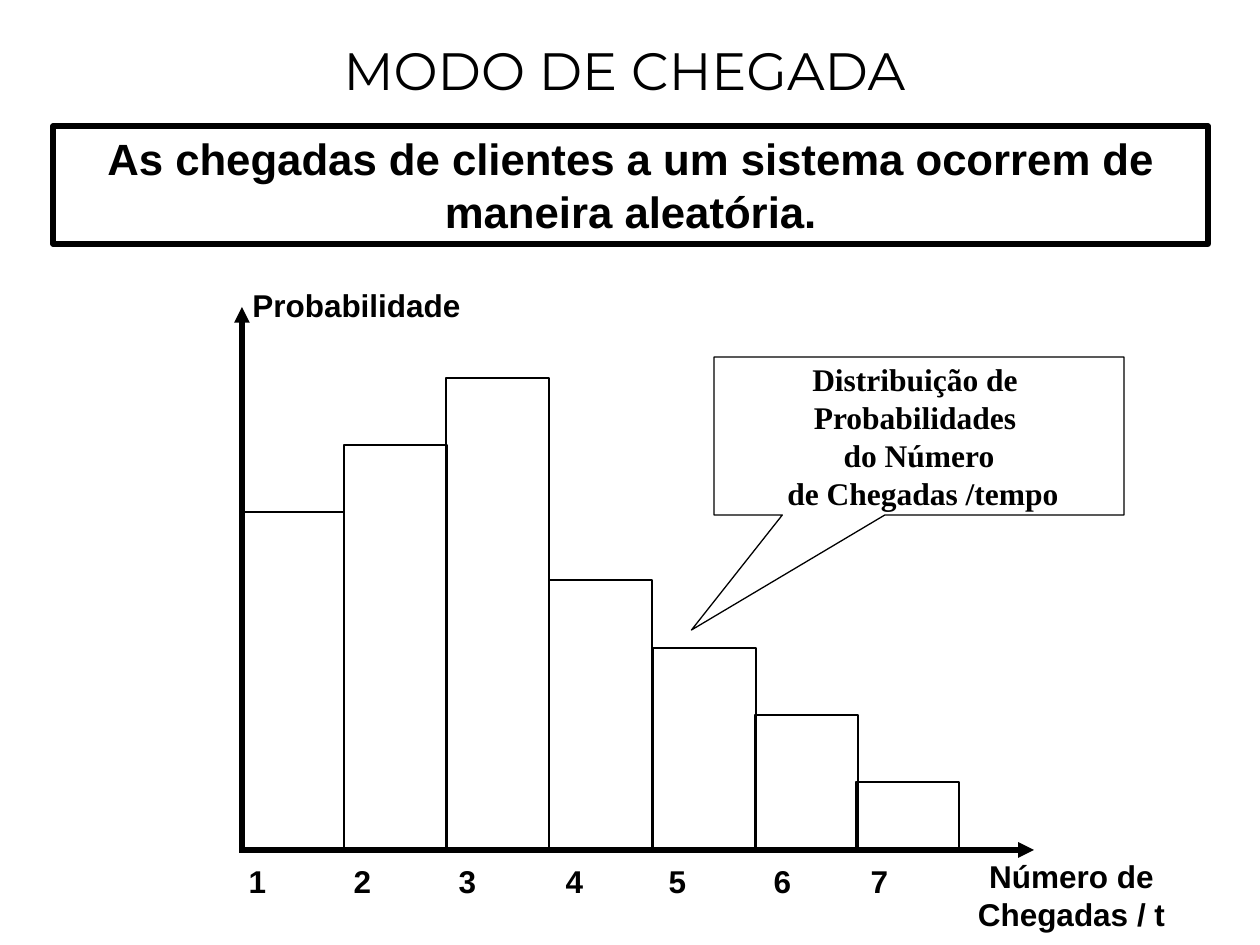
from dataclasses import dataclass

import lxml.etree
import pptx
import pptx.dml.color
import pptx.enum.shapes
import pptx.enum.text
import pptx.oxml.ns
import pptx.util

Align = pptx.enum.text.PP_ALIGN
Anchor = pptx.enum.text.MSO_ANCHOR
Fit = pptx.enum.text.MSO_AUTO_SIZE
Form = pptx.enum.shapes.MSO_SHAPE
qn = pptx.oxml.ns.qn


@dataclass(frozen=True)
class Font:
    name: str
    size: int
    bold: bool = True


@dataclass(frozen=True)
class Theme:
    ink: pptx.dml.color.RGBColor = pptx.dml.color.RGBColor(0, 0, 0)
    title: Font = Font("Montserrat", 30, False)
    claim: Font = Font("Arial", 25)
    label: Font = Font("Arial", 18)
    note: Font = Font("Times New Roman", 18)
    thick: float = 3
    thin: float = 0.75


@dataclass(frozen=True)
class Box:
    left: int
    top: int
    width: int
    height: int


@dataclass(frozen=True)
class Bar:
    name: str
    left: int
    mark: int
    units: int


THEME = Theme()
BASE = 850
WIDTH = 103
UNIT = 67.5
BARS = [
    Bar("3", 446, 441, 7),
    Bar("2", 344, 336, 6),
    Bar("1", 241, 231, 5),
    Bar("4", 549, 548, 4),
    Bar("5", 653, 651, 3),
    Bar("6", 755, 756, 2),
    Bar("7", 856, 853, 1),
]


def px(count: int) -> int:
    return round(count * 914400 / 126)


def place(shape, box: Box) -> None:
    shape.left, shape.top = px(box.left), px(box.top)
    shape.width, shape.height = px(box.width), px(box.height)


def write(shape, lines: list[str], font: Font, anchor=Anchor.TOP, wrap=True) -> None:
    frame = shape.text_frame
    frame.auto_size = Fit.NONE
    frame.word_wrap = wrap
    frame.vertical_anchor = anchor
    for i, line in enumerate(lines):
        para = frame.paragraphs[0] if i == 0 else frame.add_paragraph()
        para.alignment = Align.CENTER
        run = para.add_run()
        run.text = line
        run.font.name = font.name
        run.font.size = pptx.util.Pt(font.size)
        run.font.bold = font.bold
        run.font.color.rgb = THEME.ink


def stroke(shape, weight: float) -> None:
    shape.line.color.rgb = THEME.ink
    shape.line.width = pptx.util.Pt(weight)


def frame(slide, box: Box, weight: float, form=Form.RECTANGLE):
    shape = slide.shapes.add_shape(form, 0, 0, 0, 0)
    place(shape, box)
    shape.shadow.inherit = False
    shape.fill.background()
    stroke(shape, weight)
    return shape


def label(slide, text: str, box: Box) -> None:
    shape = slide.shapes.add_textbox(0, 0, 0, 0)
    place(shape, box)
    write(shape, [text], THEME.label)


def axis(slide, x1: int, y1: int, x2: int, y2: int) -> None:
    kind = pptx.enum.shapes.MSO_CONNECTOR.STRAIGHT
    line = slide.shapes.add_connector(kind, px(x1), px(y1), px(x2), px(y2))
    stroke(line, THEME.thick)
    tail = lxml.etree.SubElement(line.get_or_add_ln(), qn("a:tailEnd"))
    tail.set("type", "triangle")
    lxml.etree.SubElement(line.element.spPr, qn("a:effectLst"))


def main() -> None:
    deck = pptx.Presentation()
    deck.slide_width, deck.slide_height = px(1260), px(945)
    slide = deck.slides.add_slide(deck.slide_layouts[5])

    title = slide.shapes.title
    place(title, Box(147, 32, 955, 76))
    write(title, ["MODO DE CHEGADA"], THEME.title)

    claim = frame(slide, Box(53, 126, 1155, 118), THEME.thick)
    text = "As chegadas de clientes a um sistema ocorrem de maneira aleatória."
    write(claim, [text], THEME.claim)

    for bar in BARS:
        tall = round(bar.units * UNIT)
        frame(slide, Box(bar.left, BASE - tall, WIDTH, tall), THEME.thin)

    axis(slide, 242, 853, 242, 307)
    axis(slide, 241, BASE, 1034, BASE)

    label(slide, "Número de Chegadas / t", Box(935, 851, 273, 88))
    label(slide, "Probabilidade", Box(220, 280, 273, 50))
    for bar in sorted(BARS, key=lambda bar: bar.mark):
        label(slide, bar.name, Box(bar.mark, 856, 53, 50))

    note = frame(slide, Box(714, 357, 410, 158), THEME.thin, Form.RECTANGULAR_CALLOUT)
    note.adjustments[0] = -0.555
    note.adjustments[1] = 1.228
    lines = ["Distribuição de ", "Probabilidades ", "do Número", " de Chegadas /tempo"]
    write(note, lines, THEME.note, Anchor.MIDDLE, False)

    deck.save("out.pptx")


if __name__ == "__main__":
    main()
